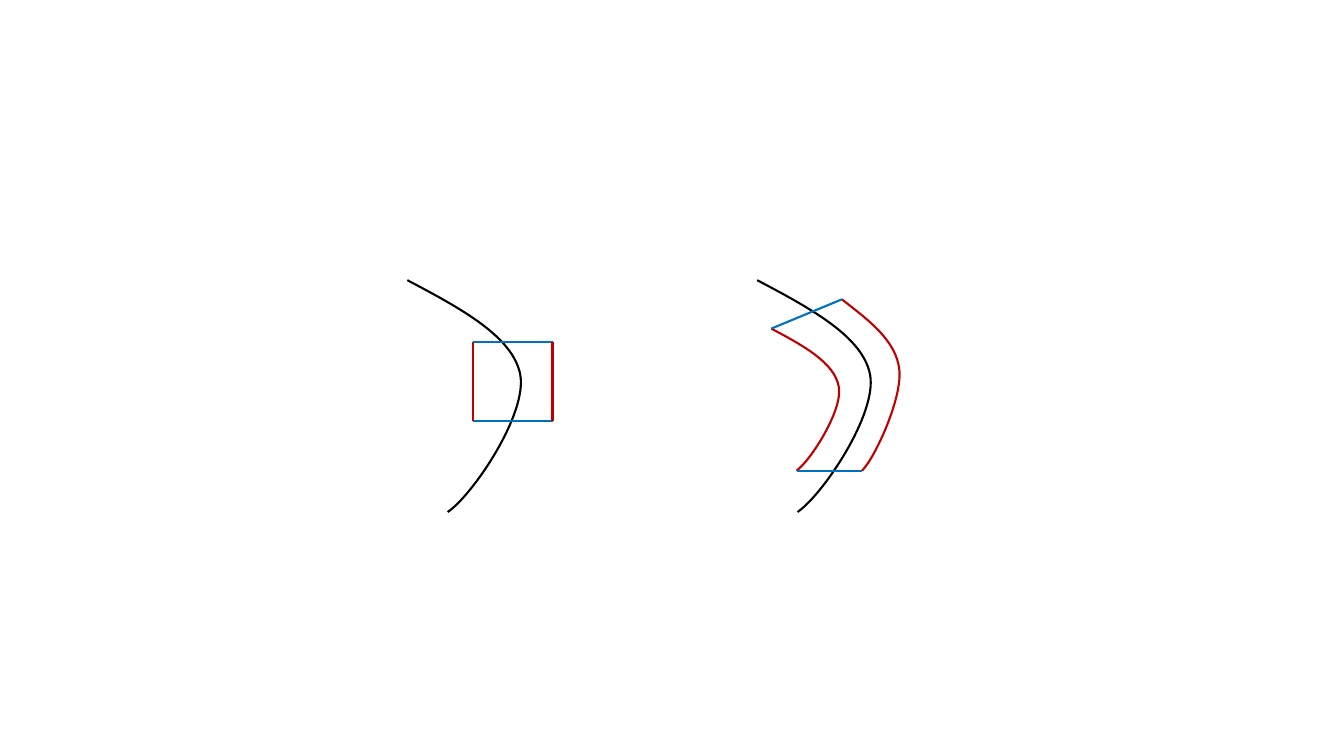
from dataclasses import dataclass

from lxml.etree import SubElement
from pptx import Presentation
from pptx.dml.color import RGBColor
from pptx.enum.shapes import MSO_CONNECTOR
from pptx.oxml.ns import qn
from pptx.util import Inches, Pt


@dataclass(frozen=True)
class Theme:
    spine: RGBColor = RGBColor(0x00, 0x00, 0x00)
    side: RGBColor = RGBColor(0xC0, 0x00, 0x00)
    end: RGBColor = RGBColor(0x00, 0x70, 0xC0)
    width: float = 1.5


THEME = Theme()
SHIFT = 3.47  # from the left figure to the right one

# Each curve: start, then (control, control, end) per segment
SPINE = [(4.04, 2.78),
         (4.57, 3.06), (5.09, 3.34), (5.16, 3.72),
         (5.23, 4.11), (4.69, 4.91), (4.44, 5.08)]
OUTER = [(8.35, 2.97),
         (8.62, 3.18), (8.89, 3.38), (8.92, 3.67),
         (8.95, 3.95), (8.68, 4.54), (8.55, 4.67)]
INNER = [(7.65, 3.26),
         (7.97, 3.43), (8.28, 3.60), (8.32, 3.84),
         (8.36, 4.07), (8.04, 4.57), (7.90, 4.67)]
BOX = (4.69, 3.39, 0.79)  # left, top, side


def ink(shape, color):
    shape.line.color.rgb = color
    shape.line.width = Pt(THEME.width)


def add_curve(group, points, color):
    """Draw a freeform through the knots, then bend its lines into Beziers."""
    dots = [(Inches(x), Inches(y)) for x, y in points]
    pen = group.shapes.build_freeform(*dots[0])
    pen.add_line_segments(dots[3::3], close=False)
    curve = pen.convert_to_shape()
    lines = list(curve._element.iter(qn("a:lnTo")))
    for i, line in enumerate(lines):
        bend = SubElement(line.getparent(), qn("a:cubicBezTo"))
        for x, y in dots[3 * i + 1:3 * i + 4]:
            SubElement(bend, qn("a:pt"),
                       x=str(x - curve.left), y=str(y - curve.top))
        line.getparent().remove(line)
    curve.shadow.inherit = False
    curve.fill.background()
    ink(curve, color)


def add_line(group, start, end, color):
    line = group.shapes.add_connector(
        MSO_CONNECTOR.STRAIGHT, *(Inches(v) for v in (*start, *end)))
    ink(line, color)
    SubElement(line._element.spPr, qn("a:effectLst"))


def draw_square(slide):
    group = slide.shapes.add_group_shape()
    add_curve(group, SPINE, THEME.spine)
    left, top, side = BOX
    right, bottom = left + side, top + side
    for y in (top, bottom):
        add_line(group, (left, y), (right, y), THEME.end)
    for x in (right, left):
        add_line(group, (x, bottom), (x, top), THEME.side)


def draw_band(slide):
    group = slide.shapes.add_group_shape()
    add_curve(group, [(x + SHIFT, y) for x, y in SPINE], THEME.spine)
    for edge in (OUTER, INNER):
        add_curve(group, edge, THEME.side)
    for tip in (0, -1):
        add_line(group, INNER[tip], OUTER[tip], THEME.end)


def main():
    deck = Presentation()
    deck.slide_width, deck.slide_height = Inches(13.33), Inches(7.5)
    slide = deck.slides.add_slide(deck.slide_layouts[6])
    draw_square(slide)
    draw_band(slide)
    deck.save("out.pptx")


if __name__ == "__main__":
    main()
